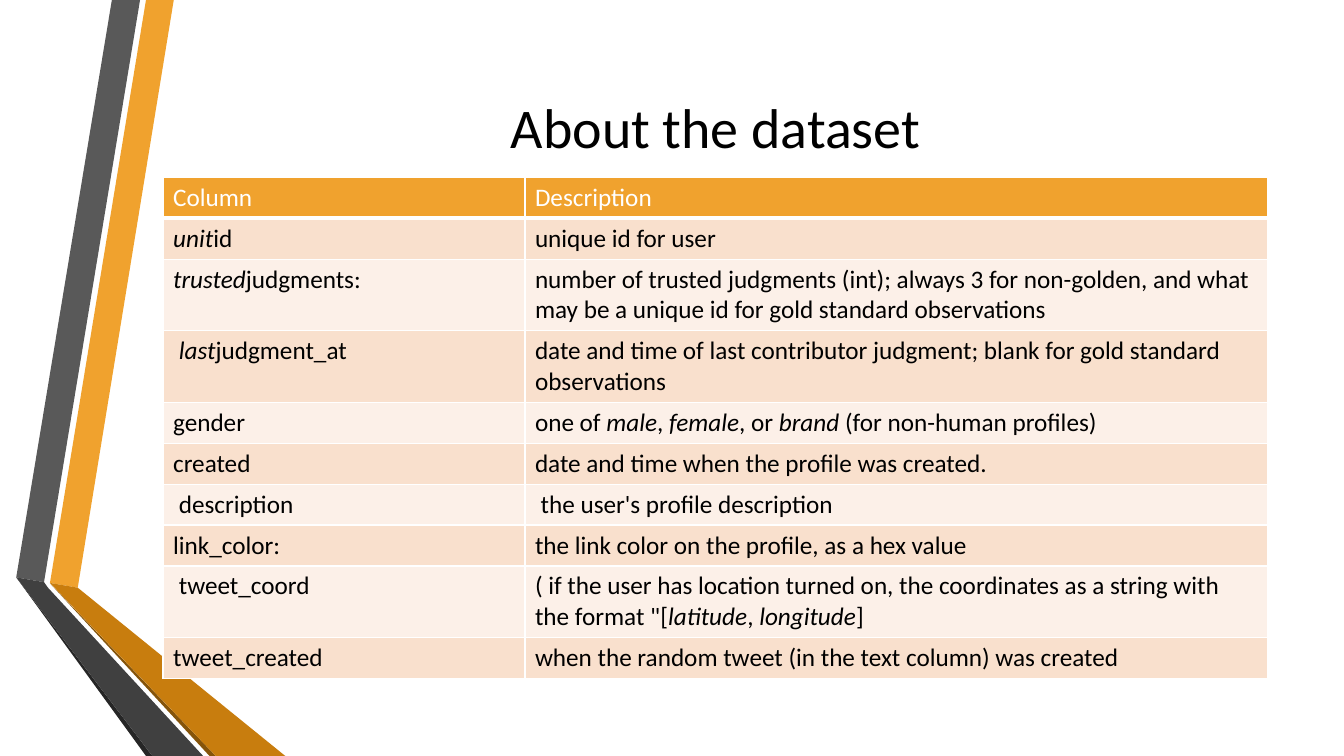
from dataclasses import dataclass

from lxml import etree
from pptx import Presentation
from pptx import util as u
from pptx.dml import color as dml
from pptx.enum import text
from pptx.oxml import ns


@dataclass(frozen=True)
class Theme:
    font: str = "Calibri"
    title_size: int = 40
    body_size: int = 18
    black: str = "000000"
    white: str = "FFFFFF"
    orange: str = "F0A22E"
    dark_orange: str = "C87D0E"
    brown: str = "85540A"
    gray: str = "595959"
    dark_gray: str = "404040"
    charcoal: str = "262626"
    bands: tuple = ("F9E0CD", "FCF0E8")


theme = Theme()


def write(tf, content, size=theme.body_size, color=theme.black, align=text.PP_ALIGN.LEFT):
    p = tf.paragraphs[0]
    p.alignment = align
    for i, part in enumerate(content.split("*")):
        if part:
            r = p.add_run()
            r.text = part
            r.font.name = theme.font
            r.font.size = u.Pt(size)
            r.font.bold = False
            r.font.italic = i % 2 == 1
            r.font.color.rgb = dml.RGBColor.from_string(color)


def set_border(cell, side, width):
    ln = etree.SubElement(cell._tc.get_or_add_tcPr(), ns.qn(f"a:{side}"), w=str(u.Pt(width)))
    fill = etree.SubElement(ln, ns.qn("a:solidFill"))
    etree.SubElement(fill, ns.qn("a:srgbClr"), val=theme.white)


prs = Presentation()
prs.slide_width, prs.slide_height = u.Cm(33.87), u.Cm(19.05)
s = prs.slides.add_slide(prs.slide_layouts[5])

ribbons = [
    (theme.orange, [(1.26, 14.69), (1.96, 14.81), (4.38, 0), (3.68, 0)]),
    (theme.gray, [(3.53, 0), (2.82, 0), (0.41, 14.55), (1.11, 14.67)]),
    (theme.charcoal, [(0.41, 14.55), (3.68, 19.05), (3.84, 19.05)]),
    (theme.brown, [(1.26, 14.7), (5.28, 19.05), (5.44, 19.05)]),
    (theme.dark_orange, [(1.26, 14.69), (5.44, 19.05), (7.19, 19.05), (1.96, 14.81)]),
    (theme.dark_gray, [(5.12, 19.05), (1.21, 14.81), (1.11, 14.67), (0.41, 14.55), (3.84, 19.05)]),
]
for color, points in ribbons:
    start, *rest = [(u.Cm(x), u.Cm(y)) for x, y in points]
    builder = s.shapes.build_freeform(*start)
    builder.add_line_segments(rest, close=True)
    sp = builder.convert_to_shape()
    sp.shadow.inherit = False
    sp.fill.solid()
    sp.fill.fore_color.rgb = dml.RGBColor.from_string(color)
    sp.line.fill.background()

left, width = u.Cm(4.11), u.Cm(27.84)
title = s.shapes.title
title.left, title.top, title.width, title.height = left, u.Cm(1.9), width, u.Cm(2.57)
title.text_frame.vertical_anchor = text.MSO_ANCHOR.MIDDLE
write(title.text_frame, "About the dataset", size=theme.title_size, align=text.PP_ALIGN.CENTER)

single, double = 0.97, 1.7
rows = [
    (single, "Column", "Description"),
    (single, "*unit*id", "unique id for user"),
    (double, "*trusted*judgments:",
     "number of trusted judgments (int); always 3 for non-golden, and what may be a unique id for gold standard observations"),
    (double, " *last*judgment_at",
     "date and time of last contributor judgment; blank for gold standard observations"),
    (single, "gender", "one of *male*, *female*, or *brand* (for non-human profiles)"),
    (single, "created", "date and time when the profile was created."),
    (single, " description", " the user's profile description"),
    (single, "link_color:", "the link color on the profile, as a hex value"),
    (double, " tweet_coord",
     "( if the user has location turned on, the coordinates as a string with the format \"[*latitude*, *longitude*]"),
    (single, "tweet_created", "when the random tweet (in the text column) was created"),
]
frame = s.shapes.add_table(len(rows), 2, left, u.Cm(4.47), width, u.Cm(12.45))
table = frame.table
for column, column_width in zip(table.columns, (9.12, 18.72)):
    column.width = u.Cm(column_width)

for i, (height, *contents) in enumerate(rows):
    table.rows[i].height = u.Cm(height)
    header = i == 0
    fill = theme.orange if header else theme.bands[(i - 1) % 2]
    for j, content in enumerate(contents):
        cell = table.cell(i, j)
        write(cell.text_frame, content, color=theme.white if header else theme.black)
        for side in ("lnL", "lnR", "lnT", "lnB"):
            heavy = (side == "lnB" and header) or (side == "lnT" and i == 1)
            set_border(cell, side, 3 if heavy else 1)
        cell.fill.solid()
        cell.fill.fore_color.rgb = dml.RGBColor.from_string(fill)
frame.height = u.Cm(12.45)

prs.save("out.pptx")
